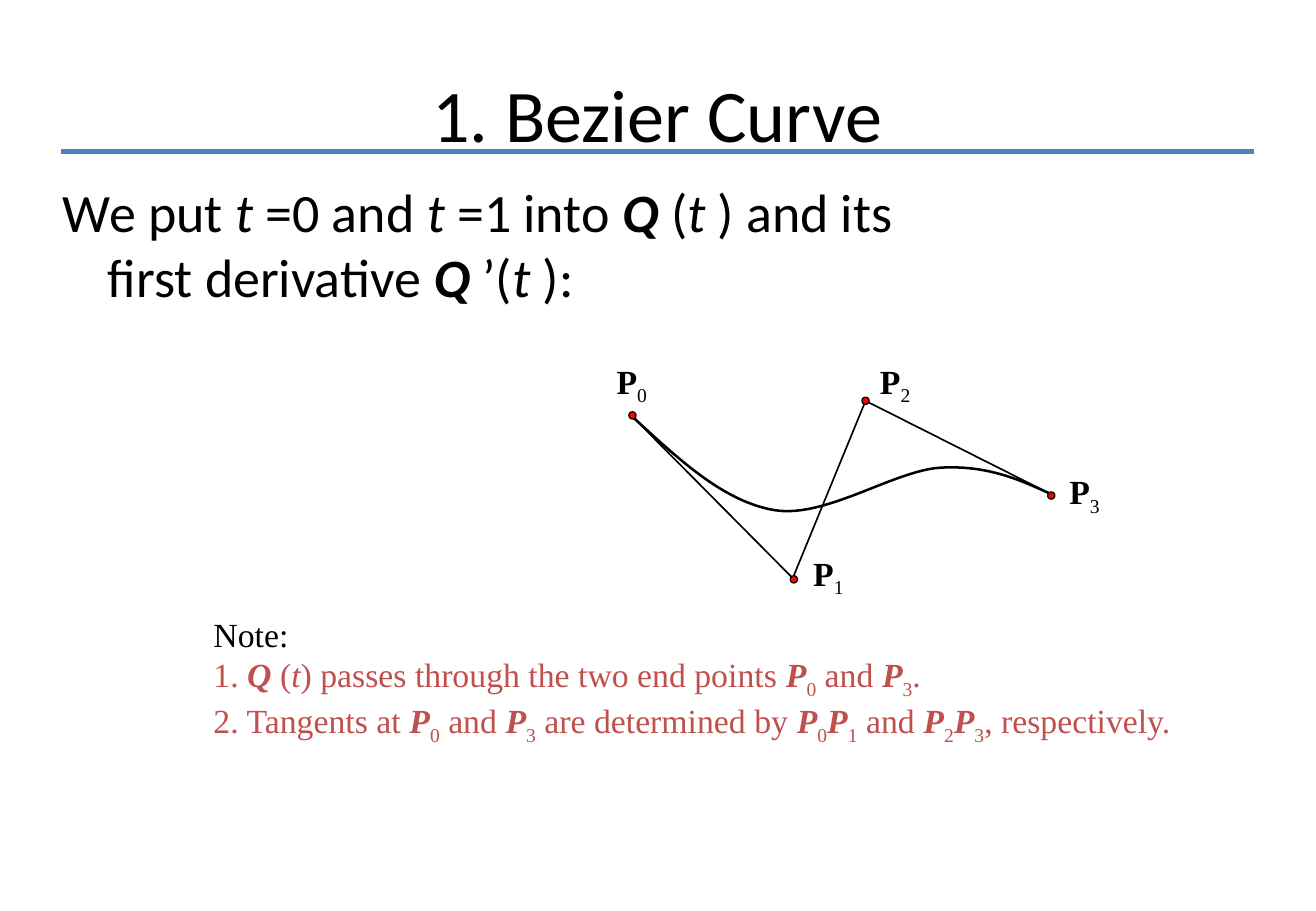
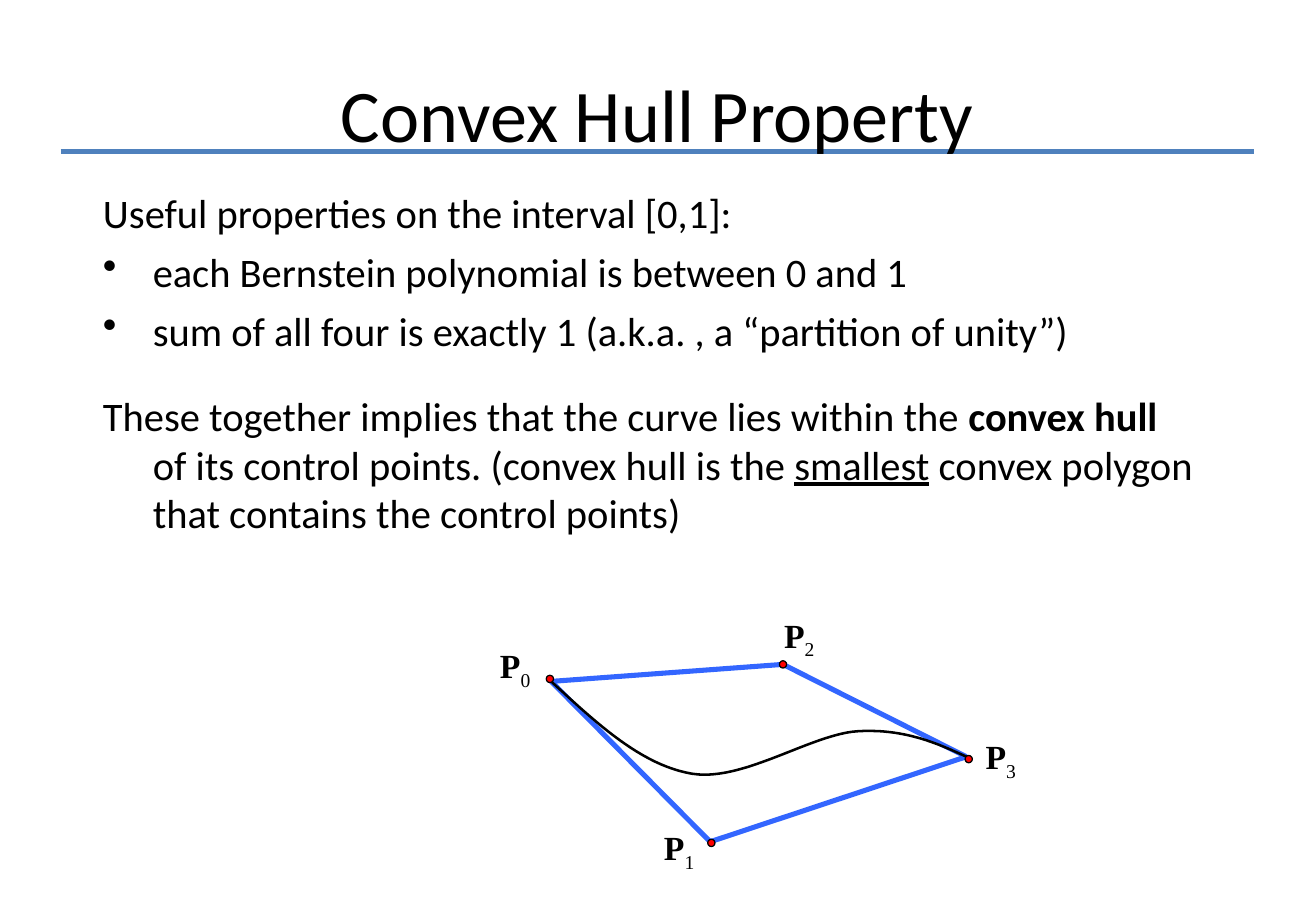
"""Build two slides on Bezier curves and their convex hull."""

import dataclasses
import itertools
import typing

import lxml.etree
import pptx
import pptx.dml.color
import pptx.enum.shapes
import pptx.enum.text
import pptx.oxml.ns
import pptx.presentation
import pptx.shapes.base
import pptx.shapes.connector
import pptx.slide
import pptx.text.text
import pptx.util

PX = 9144


@dataclasses.dataclass(frozen=True)
class Theme:
    ink: str = "000000"
    rule: str = "4F81BD"
    accent: str = "C0504D"
    hull: str = "3366FF"
    dot: str = "FF0000"
    sans: str = "Calibri"
    serif: str = "Times New Roman"
    title_size: int = 44
    lead_size: int = 32
    body_size: int = 24
    note_size: int = 20


THEME = Theme()


class Point(typing.NamedTuple):
    x: int
    y: int


class Box(typing.NamedTuple):
    left: int
    top: int
    width: int
    height: int


class Run(typing.NamedTuple):
    text: str
    bold: bool = False
    italic: bool = False
    underline: bool = False
    subscript: bool = False


@dataclasses.dataclass(frozen=True)
class Line:
    runs: list[Run]
    size: int
    face: str = THEME.sans
    colour: str = THEME.ink
    space_before: float = 0
    indent: int = 0
    bullet: bool = False


@dataclasses.dataclass(frozen=True)
class CurveFigure:
    origin: Point
    edges: list[tuple[int, int]]
    edge_colour: str
    edge_weight: float
    labels: list[Point]


CONTROL_POINTS = [Point(0, 0), Point(131, 132), Point(191, -14), Point(342, 62)]
DOT_CENTRES = [Point(-1, -2), Point(132, 133), Point(191, -14), Point(344, 64)]
DOT_SIZE = 6
CURVE_KNOTS = [
    Point(0, 0), Point(37, 34), Point(74, 69), Point(116, 76), Point(158, 83),
    Point(215, 43), Point(253, 41), Point(290, 39), Point(316, 50), Point(342, 62),
]
CURVE_STEPS = 24

TITLE_BOX = Box(54, 30, 975, 125)
RULE_ENDS = (Point(50, 125), Point(1033, 125))


def px(length: float) -> pptx.util.Emu:
    """Turn px into EMU."""
    return pptx.util.Emu(round(length * PX))


def rgb(colour: str) -> pptx.dml.color.RGBColor:
    """Turn a hex string into a colour."""
    return pptx.dml.color.RGBColor.from_string(colour)


def style_font(font: pptx.text.text.Font, face: str, size: int, colour: str) -> None:
    """Set the face, size and colour of a font."""
    font.name = face
    font.size = pptx.util.Pt(size)
    font.color.rgb = rgb(colour)


def style_outline(line: typing.Any, colour: str, weight: float) -> None:
    """Set the colour and weight of an outline."""
    line.color.rgb = rgb(colour)
    line.width = pptx.util.Pt(weight)


def draw_line(
    slide: pptx.slide.Slide, start: Point, end: Point, colour: str, weight: float
) -> pptx.shapes.connector.Connector:
    """Draw a straight line without a shadow."""
    segment = slide.shapes.add_connector(
        pptx.enum.shapes.MSO_CONNECTOR.STRAIGHT,
        px(start.x), px(start.y), px(end.x), px(end.y),
    )
    style_outline(segment.line, colour, weight)
    lxml.etree.SubElement(segment.element.spPr, pptx.oxml.ns.qn("a:effectLst"))
    return segment


def write_line(paragraph: typing.Any, line: Line) -> None:
    """Fill a paragraph with the runs of a line."""
    properties = paragraph._p.get_or_add_pPr()
    if line.indent:
        properties.set("marL", str(px(line.indent)))
        properties.set("indent", str(-px(line.indent)))
    if line.space_before:
        paragraph.space_before = pptx.util.Pt(line.space_before)
    if line.bullet:
        mark = lxml.etree.SubElement(properties, pptx.oxml.ns.qn("a:buChar"))
        mark.set("char", "•")
    style_font(paragraph.font, line.face, line.size, line.colour)
    for part in line.runs:
        if part.text == "\n":
            paragraph.add_line_break()
            continue
        run = paragraph.add_run()
        run.text = part.text
        if part.bold:
            run.font.bold = True
        if part.italic:
            run.font.italic = True
        if part.underline:
            run.font.underline = True
        if part.subscript:
            run._r.get_or_add_rPr().set("baseline", "-25000")


def add_text(
    slide: pptx.slide.Slide, box: Box, lines: list[Line], wrap: bool = True
) -> None:
    """Add a text box holding the given lines."""
    frame = slide.shapes.add_textbox(*map(px, box)).text_frame
    frame.word_wrap = wrap
    if not wrap:
        frame.auto_size = pptx.enum.text.MSO_AUTO_SIZE.SHAPE_TO_FIT_TEXT
    for index, line in enumerate(lines):
        write_line(frame.add_paragraph() if index else frame.paragraphs[0], line)


def add_titled_slide(
    deck: pptx.presentation.Presentation, layout: pptx.slide.SlideLayout, heading: str
) -> pptx.slide.Slide:
    """Add a slide with its title placed and formatted."""
    slide = deck.slides.add_slide(layout)
    title = slide.shapes.title
    title.left, title.top, title.width, title.height = map(px, TITLE_BOX)
    frame = title.text_frame
    frame.text = heading
    frame.vertical_anchor = pptx.enum.text.MSO_ANCHOR.MIDDLE
    frame.auto_size = pptx.enum.text.MSO_AUTO_SIZE.NONE
    paragraph = frame.paragraphs[0]
    paragraph.alignment = pptx.enum.text.PP_ALIGN.CENTER
    style_font(paragraph.font, THEME.sans, THEME.title_size, THEME.ink)
    return slide


def put_rule_on_layout(
    layout: pptx.slide.SlideLayout, slide: pptx.slide.Slide
) -> None:
    """Give the layout the rule under the title in place of its footers."""
    for placeholder in list(layout.placeholders):
        if placeholder.placeholder_format.idx:
            layout.shapes.element.remove(placeholder.element)
    rule = draw_line(slide, *RULE_ENDS, THEME.rule, 3)
    layout.shapes.element.append(rule.element)


def shift(point: Point, origin: Point) -> Point:
    """Move a point by an origin."""
    return Point(point.x + origin.x, point.y + origin.y)


def curve_vertices(origin: Point) -> list[tuple[int, int]]:
    """Sample the chained cubic segments in EMU."""
    vertices = [(px(origin.x), px(origin.y))]
    for first in range(0, len(CURVE_KNOTS) - 1, 3):
        knots = [shift(knot, origin) for knot in CURVE_KNOTS[first:first + 4]]
        for step in range(1, CURVE_STEPS + 1):
            t = step / CURVE_STEPS
            s = 1 - t
            weights = (s**3, 3 * s * s * t, 3 * s * t * t, t**3)
            vertices.append((
                px(sum(w * knot.x for w, knot in zip(weights, knots))),
                px(sum(w * knot.y for w, knot in zip(weights, knots))),
            ))
    return vertices


def point_name(index: int, italic: bool = True) -> list[Run]:
    """Name a control point with its subscript."""
    return [Run("P", bold=True, italic=italic), Run(str(index), subscript=True)]


def draw_figure(slide: pptx.slide.Slide, figure: CurveFigure) -> None:
    """Draw the curve with its edges, control points and labels."""
    tips = [shift(point, figure.origin) for point in CONTROL_POINTS]
    for start, end in figure.edges:
        draw_line(slide, tips[start], tips[end], figure.edge_colour, figure.edge_weight)

    start, *rest = curve_vertices(figure.origin)
    builder = slide.shapes.build_freeform(*start, scale=1.0)
    builder.add_line_segments(rest, close=False)
    curve = builder.convert_to_shape()
    curve.shadow.inherit = False
    curve.fill.background()
    style_outline(curve.line, THEME.ink, 1.5)

    for centre in DOT_CENTRES:
        x, y = shift(centre, figure.origin)
        dot = slide.shapes.add_shape(
            pptx.enum.shapes.MSO_SHAPE.OVAL,
            px(x - DOT_SIZE / 2), px(y - DOT_SIZE / 2), px(DOT_SIZE), px(DOT_SIZE),
        )
        dot.shadow.inherit = False
        dot.fill.solid()
        dot.fill.fore_color.rgb = rgb(THEME.dot)
        style_outline(dot.line, THEME.ink, 0.75)

    for index, corner in enumerate(figure.labels):
        name = Line(point_name(index, italic=False), THEME.note_size, THEME.serif)
        add_text(slide, Box(*corner, 45, 48), [name], wrap=False)


def fill_bezier_slide(slide: pptx.slide.Slide) -> None:
    """Fill the slide on the end points and tangents of the curve."""
    t, q = Run("t ", italic=True), Run("Q ", bold=True, italic=True)
    lead = [
        Run("We put "), t, Run("=0 and "), t, Run("=1 into "), q, Run("("), t,
        Run(") and its"), Run("\n"), Run("first derivative "), q, Run("’("),
        Run("t", italic=True), Run(" ):"),
    ]
    add_text(slide, Box(42, 142, 1021, 450), [Line(lead, THEME.lead_size, indent=37)])
    draw_figure(slide, CurveFigure(
        Point(522, 344), [(0, 1), (2, 3), (2, 1)], THEME.ink, 1,
        [Point(498, 292), Point(660, 450), Point(715, 292), Point(871, 383)],
    ))
    p0, p1, p2, p3 = map(point_name, range(4))
    ends = [
        Run("1. "), q, Run("("), Run("t", italic=True),
        Run(") passes through the two end points "), *p0, Run(" and "), *p3, Run("."),
    ]
    tangents = [
        Run("2. Tangents at "), *p0, Run(" and "), *p3, Run(" are determined by "),
        *p0, *p1, Run(" and "), *p2, *p3, Run(", respectively."),
    ]
    notes = [Line([Run("Note:")], THEME.note_size, THEME.serif)]
    notes += [
        Line(runs, THEME.note_size, THEME.serif, THEME.accent) for runs in (ends, tangents)
    ]
    add_text(slide, Box(166, 500, 812, 119), notes, wrap=False)


def fill_hull_slide(slide: pptx.slide.Slide) -> None:
    """Fill the slide on the convex hull."""
    size, indent = THEME.body_size, 41
    properties = (
        "each Bernstein polynomial is between 0 and 1",
        "sum of all four is exactly 1 (a.k.a. , a “partition of unity”)",
    )
    conclusion = [
        Run("These together implies that the curve lies within the "),
        Run("convex hull", bold=True),
        Run(" of its control points. (convex hull is the "),
        Run("smallest", underline=True),
        Run(" convex polygon that contains the control points)"),
    ]
    add_text(slide, Box(75, 150, 919, 467), [
        Line([Run("Useful properties on the interval [0,1]:")], size, indent=indent),
        *(Line([Run(text)], size, space_before=6, indent=indent, bullet=True)
          for text in properties),
        Line(conclusion, size, space_before=22, indent=indent),
    ])
    outline = (0, 1, 3, 2, 0)
    draw_figure(slide, CurveFigure(
        Point(454, 561), list(itertools.pairwise(outline)), THEME.hull, 3,
        [Point(402, 526), Point(537, 676), Point(636, 501), Point(802, 601)],
    ))


def main() -> None:
    """Build and save the deck."""
    deck = pptx.Presentation()
    deck.slide_width, deck.slide_height = px(1084), px(750)
    layout = deck.slide_layouts.get_by_name("Title Only")
    bezier = add_titled_slide(deck, layout, "1. Bezier Curve")
    put_rule_on_layout(layout, bezier)
    fill_bezier_slide(bezier)
    fill_hull_slide(add_titled_slide(deck, layout, "Convex Hull Property"))
    deck.save("out.pptx")


if __name__ == "__main__":
    main()
